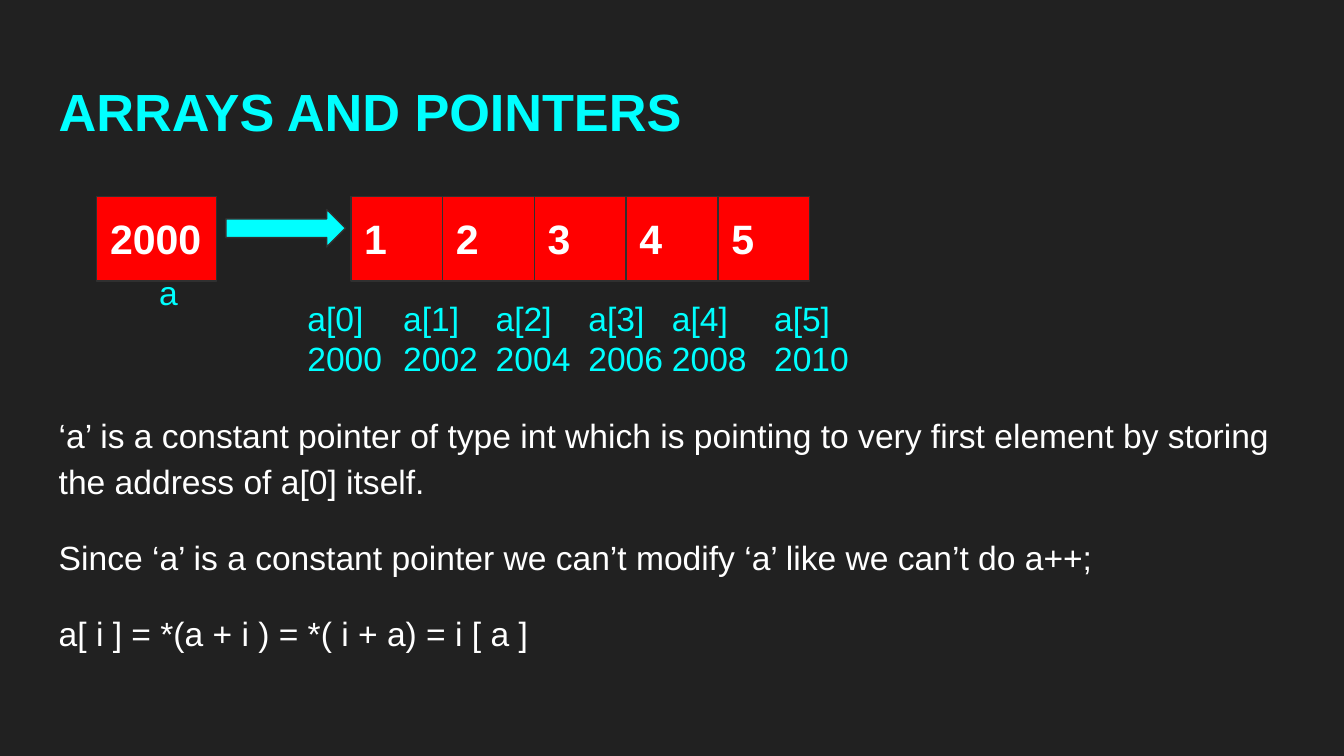
"""Build a slide on how an array name points to its first element."""
from dataclasses import dataclass

from lxml.etree import SubElement
from pptx import Presentation
from pptx.dml.color import RGBColor
from pptx.enum.shapes import MSO_SHAPE as Preset
from pptx.enum.text import MSO_ANCHOR as Anchor, MSO_AUTO_SIZE as AutoSize, PP_ALIGN as Align
from pptx.oxml.ns import qn
from pptx.util import Cm, Pt

BACKGROUND = RGBColor(0x21, 0x21, 0x21)
CYAN = RGBColor(0x00, 0xFF, 0xFF)
RED = RGBColor(0xFF, 0x00, 0x00)
WHITE = RGBColor(0xFF, 0xFF, 0xFF)
OUTLINE = RGBColor(0x30, 0x30, 0x30)
FONT = "Arial"
INSET = 0.25
CELL_TOP, CELL_HEIGHT = 3.71, 1.6
ARRAY_LEFT, CELL_WIDTH = 6.63, 1.735
LABEL_TOP, LABEL_HEIGHT = 5.38, 0.89


@dataclass(frozen=True)
class Box:
    """Position and size in centimetres."""
    left: float
    top: float
    width: float
    height: float

    def lengths(self) -> tuple:
        """Return the four values as lengths."""
        return Cm(self.left), Cm(self.top), Cm(self.width), Cm(self.height)


@dataclass(frozen=True)
class Label:
    """Caption of one array element."""
    left: float
    width: float
    lines: tuple


@dataclass(frozen=True)
class Style:
    """Look of a run of text."""
    size: int
    color: RGBColor
    bold: bool = False


TITLE = Style(28, CYAN, True)
VALUE = Style(22, WHITE, True)
CAPTION = Style(18, CYAN)
BODY = Style(18, WHITE)

LABELS = (
    Label(5.56, 2.13, ("a[0] 2000",)),
    Label(7.37, 2.13, ("a[1]", "2002")),
    Label(9.12, 2.13, ("a[2]", "2004")),
    Label(10.87, 2.13, ("a[3]", "2006")),
    Label(12.45, 2.26, ("a[4]", "2008")),
    Label(14.38, 1.93, ("a[5]", "2010")),
)
EXPLANATION = (
    "‘a’ is a constant pointer of type int which is pointing to very first element "
    "by storing the address of a[0] itself.",
    "Since ‘a’ is a constant pointer we can’t modify ‘a’ like we can’t do a++;",
    "a[ i ] = *(a + i ) = *( i + a) = i [ a ]",
)


def write(shape, lines: tuple, style: Style, anchor=Anchor.TOP, left_inset: float = INSET) -> None:
    """Fill a shape with left-aligned paragraphs."""
    frame = shape.text_frame
    frame.word_wrap = True
    frame.auto_size = AutoSize.NONE
    frame.vertical_anchor = anchor
    frame.margin_left = Cm(left_inset)
    frame.margin_top = frame.margin_right = frame.margin_bottom = Cm(INSET)
    for index, line in enumerate(lines):
        paragraph = frame.add_paragraph() if index else frame.paragraphs[0]
        paragraph.alignment = Align.LEFT
        paragraph.space_before = paragraph.space_after = Pt(0)
        run = paragraph.add_run()
        run.text = line
        run.font.name = FONT
        run.font.size = Pt(style.size)
        run.font.bold = style.bold
        run.font.color.rgb = style.color


def place(shape, box: Box) -> None:
    """Move and resize a placeholder."""
    shape.left, shape.top, shape.width, shape.height = box.lengths()


def add_block(shapes, preset: Preset, box: Box, fill: RGBColor):
    """Add a filled and outlined preset shape."""
    shape = shapes.add_shape(preset, *box.lengths())
    shape.shadow.inherit = False
    shape.fill.solid()
    shape.fill.fore_color.rgb = fill
    shape.line.color.rgb = OUTLINE
    shape.line.width = Pt(0.75)
    return shape


def add_cell(shapes, left: float, width: float, value: str) -> None:
    """Add one memory cell."""
    cell = add_block(shapes, Preset.RECTANGLE, Box(left, CELL_TOP, width, CELL_HEIGHT), RED)
    write(cell, (value,), VALUE, Anchor.MIDDLE)


def add_diagram(shapes) -> None:
    """Draw the pointer, the arrow and the array."""
    for index in range(5):
        add_cell(shapes, ARRAY_LEFT + index * CELL_WIDTH, CELL_WIDTH, str(index + 1))
    for label in LABELS:
        box = Box(label.left, LABEL_TOP, label.width, LABEL_HEIGHT)
        write(shapes.add_textbox(*box.lengths()), label.lines, CAPTION)
    add_cell(shapes, 1.83, 2.26, "2000")
    add_block(shapes, Preset.RIGHT_ARROW, Box(4.27, 3.96, 2.26, 0.71), CYAN)
    name = shapes.add_textbox(*Box(2.24, 4.9, 2.13, LABEL_HEIGHT).lengths())
    write(name, ("a",), CAPTION, left_inset=0.77)


def add_explanation(body) -> None:
    """Write the body text without bullets."""
    place(body, Box(0.86, 7.47, 23.67, 5.23))
    write(body, EXPLANATION, BODY)
    for index, paragraph in enumerate(body.text_frame.paragraphs):
        paragraph.line_spacing = 1.15
        paragraph.space_before = Pt(16 if index else 0)
        properties = paragraph._p.get_or_add_pPr()
        properties.set("marL", "0")
        properties.set("indent", "0")
        SubElement(properties, qn("a:buNone"))


def main() -> None:
    """Create and save the presentation."""
    presentation = Presentation()
    presentation.slide_width, presentation.slide_height = Cm(25.4), Cm(14.29)
    slide = presentation.slides.add_slide(presentation.slide_layouts[1])
    slide.background.fill.solid()
    slide.background.fill.fore_color.rgb = BACKGROUND
    title = slide.shapes.title
    place(title, Box(0.86, 1.24, 23.67, 1.6))
    write(title, ("ARRAYS AND POINTERS",), TITLE)
    add_explanation(slide.placeholders[1])
    add_diagram(slide.shapes.add_group_shape().shapes)
    presentation.save("out.pptx")


main()
